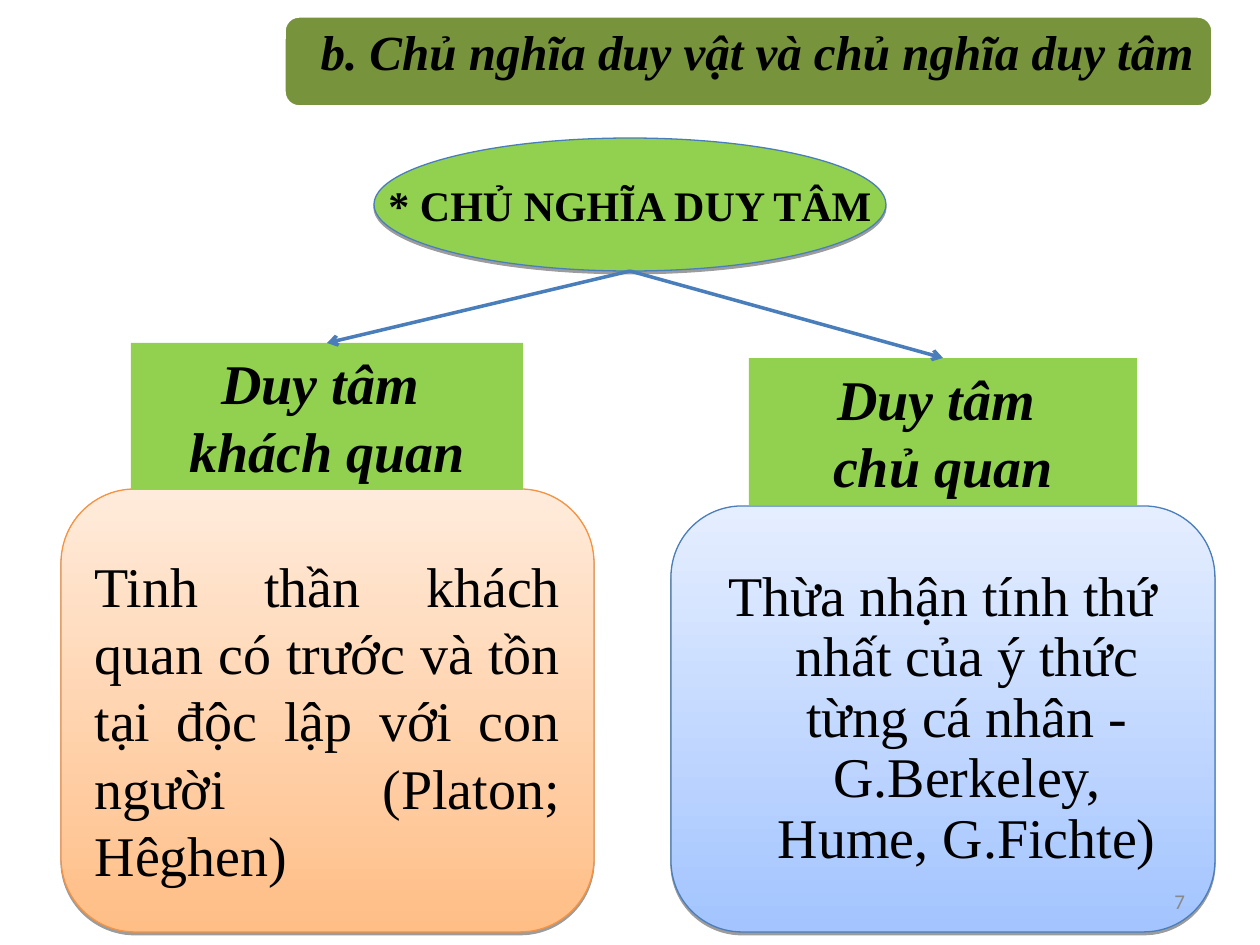
"""Builds a slide contrasting the two branches of idealism."""
from dataclasses import dataclass

from lxml import etree
from pptx import Presentation, util as u
from pptx.dml.color import RGBColor
from pptx.enum import shapes, text
from pptx.oxml.ns import qn

SCALE = 914400 / 126


def px(length):
    return u.Emu(round(length * SCALE))


@dataclass(frozen=True)
class Theme:
    serif: str = "Times New Roman"
    sans: str = "Calibri"
    ink: str = "000000"
    muted: str = "898989"
    white: str = "FFFFFF"
    green: str = "92D050"
    olive: str = "77933C"
    blue: str = "4A7EBB"
    orange: str = "F69240"
    peach: tuple = ("FFBE86", "FFEBDB")
    sky: tuple = ("A3C4FF", "E5EEFF")
    body: int = 32
    title: int = 28
    topic: int = 24
    number: int = 12
    thin: float = 0.74
    thick: float = 2


class SlideBuilder:
    def __init__(self, page, theme):
        self.page = page
        self.theme = theme

    def shape(self, kind, at, fill, line=None, width=0, shadow=False):
        box = self.page.shapes.add_shape(kind, *map(px, at))
        if isinstance(fill, tuple):
            box.fill.gradient()
            box.fill.gradient_angle = 90
            for stop, color in zip(box.fill.gradient_stops, fill):
                stop.color.rgb = RGBColor.from_string(color)
        else:
            box.fill.solid()
            box.fill.fore_color.rgb = RGBColor.from_string(fill)
        if line:
            box.line.color.rgb = RGBColor.from_string(line)
            box.line.width = u.Pt(width)
        else:
            box.line.fill.background()
        box.shadow.inherit = False
        if shadow:
            effects = box.element.spPr.find(qn("a:effectLst"))
            outer = etree.SubElement(effects, qn("a:outerShdw"), dist="20320",
                                     dir="5400000", rotWithShape="0")
            color = etree.SubElement(outer, qn("a:srgbClr"), val=self.theme.ink)
            etree.SubElement(color, qn("a:alpha"), val="38000")
        return box

    def textbox(self, at):
        return self.page.shapes.add_textbox(*map(px, at))

    def label(self, box, words, size, align="CENTER", anchor="MIDDLE", bold=False,
              italic=False, color=None, font=None, wrap=True, insets=(12, 6, 12, 6),
              before=0, spacing=None, hanging=0):
        frame = box.text_frame
        frame.text = words
        frame.word_wrap = wrap
        frame.vertical_anchor = text.MSO_ANCHOR[anchor]
        (frame.margin_left, frame.margin_top,
         frame.margin_right, frame.margin_bottom) = map(px, insets)
        for para in frame.paragraphs:
            para.alignment = text.PP_ALIGN[align]
            para.space_before = u.Pt(before)
            para.line_spacing = spacing
            if hanging:
                properties = para._p.get_or_add_pPr()
                properties.set("marL", str(int(px(hanging))))
                properties.set("indent", str(-int(px(hanging))))
            for span in para.runs:
                span.font.name = font or self.theme.serif
                span.font.size = u.Pt(size)
                span.font.bold = bold
                span.font.italic = italic
                span.font.color.rgb = RGBColor.from_string(color or self.theme.ink)

    def header(self, at, words):
        box = self.shape(shapes.MSO_SHAPE.RECTANGLE, at, self.theme.green)
        self.label(box, words, self.theme.body, anchor="TOP", bold=True, italic=True)
        return box

    def card(self, at, words, fill, line, **style):
        box = self.shape(shapes.MSO_SHAPE.ROUNDED_RECTANGLE, at, fill, line,
                         self.theme.thin, shadow=True)
        self.label(box, words, self.theme.body, before=8, **style)

    def arrow(self, start, target):
        link = self.page.shapes.add_connector(
            shapes.MSO_CONNECTOR.STRAIGHT, *map(px, start), *map(px, start))
        link.end_connect(target, 0)
        link.line.color.rgb = RGBColor.from_string(self.theme.blue)
        link.line.width = u.Pt(self.theme.thick)
        properties = link.element.spPr
        etree.SubElement(properties.find(qn("a:ln")), qn("a:tailEnd"), type="arrow")
        etree.SubElement(properties, qn("a:effectLst"))


def main():
    theme = Theme()
    deck = Presentation()
    deck.slide_width, deck.slide_height = px(1260), px(945)
    slide = SlideBuilder(deck.slides.add_slide(deck.slide_layouts[6]), theme)

    slide.card((61, 489, 533, 443),
               "Tinh thần khách quan có trước và tồn tại độc lập với con người "
               "(Platon; Hêghen)",
               theme.peach, theme.orange, align="JUSTIFY", insets=(12, 24, 12, 6))
    objective = slide.header((131, 343, 392, 147), "Duy tâm \nkhách quan")
    slide.card((671, 506, 544, 426),
               "Thừa nhận tính thứ nhất của ý thức từng cá nhân - G.Berkeley, "
               "Hume, G.Fichte)",
               theme.sky, theme.blue, spacing=0.9, hanging=48)

    slide.shape(shapes.MSO_SHAPE.ROUNDED_RECTANGLE, (284, 16, 929, 91),
                theme.olive, theme.white, theme.thick)
    slide.label(slide.textbox((284, 9, 946, 83)),
                "b. Chu\u0309 nghi\u0303a duy vật và chu\u0309 nghi\u0303a duy tâm",
                theme.title, bold=True, italic=True, insets=(30, 0, 30, 0))

    topic = slide.shape(shapes.MSO_SHAPE.OVAL, (374, 138, 512, 133), theme.green,
                        theme.blue, theme.thin, shadow=True)
    slide.label(topic, "* CHỦ NGHĨA DUY TÂM", theme.topic, bold=True, wrap=False)
    subjective = slide.header((749, 358, 388, 147), "Duy tâm \nchủ quan")
    for branch in (objective, subjective):
        slide.arrow((630, 271), branch)

    slide.label(slide.textbox((903, 876, 294, 50)), "7", theme.number,
                align="RIGHT", color=theme.muted, font=theme.sans)
    deck.save("out.pptx")


main()
